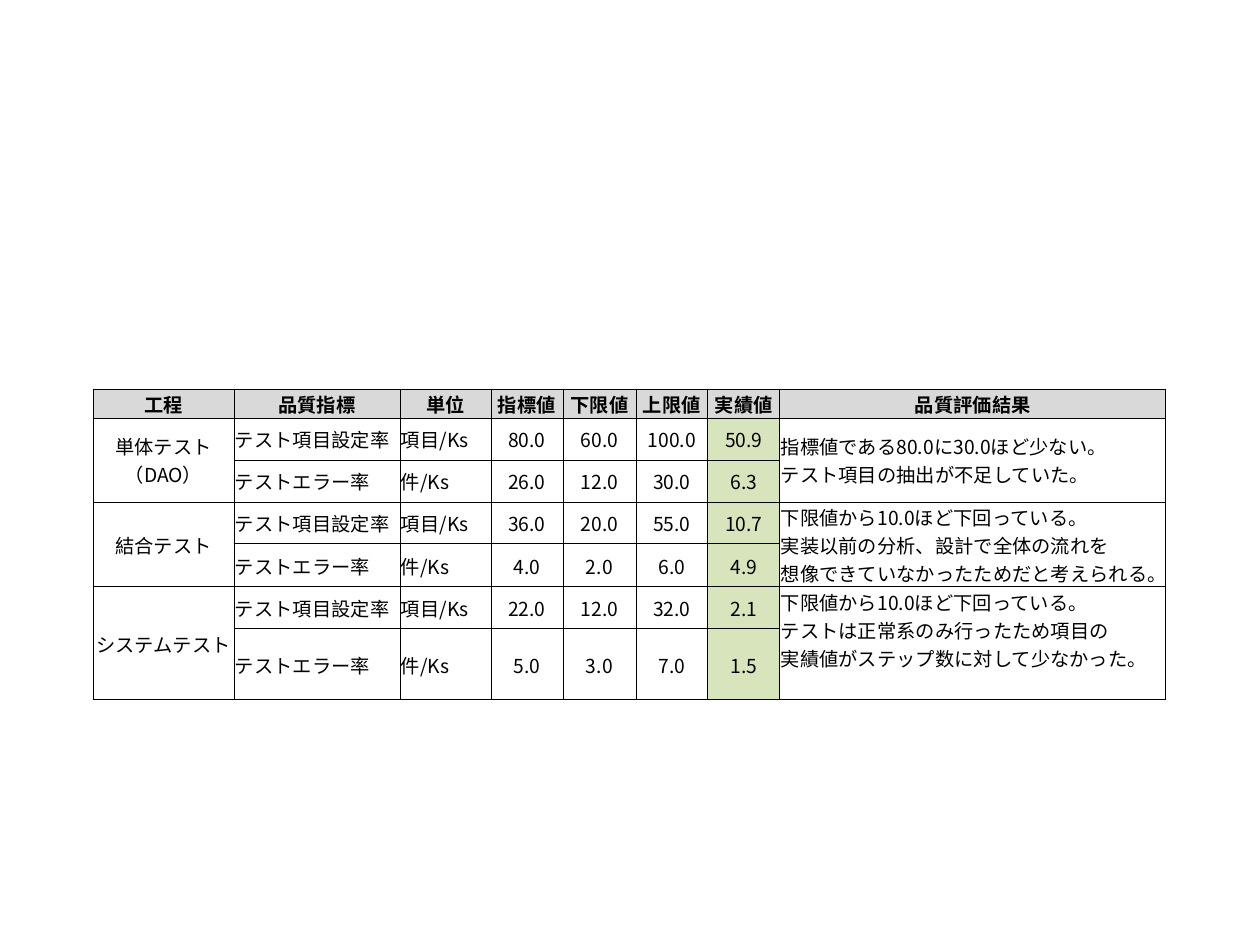
from lxml.etree import SubElement
from pptx import Presentation
from pptx.dml.color import RGBColor
from pptx.enum.text import MSO_ANCHOR as Anchor, PP_ALIGN as Align
from pptx.oxml import parse_xml
from pptx.oxml.ns import nsdecls, qn
from pptx.util import Pt

PX = 914400 // 126
FONT = "Noto Sans CJK JP"
COLORS = {"text": "000000", "border": "000000", "header": "D9D9D9", "actual": "D8E4BC"}

HEADERS = ["工程", "品質指標", "単位", "指標値", "下限値", "上限値", "実績値", "品質評価結果"]
METRICS = [("テスト項目設定率", "項目/Ks"), ("テストエラー率", "件/Ks")]
# process, values of each metric, evaluation, anchor of the evaluation
PROCESSES = [
    ("単体テスト\n（DAO）",
     [("80.0", "60.0", "100.0", "50.9"), ("26.0", "12.0", "30.0", "6.3")],
     "指標値である80.0に30.0ほど少ない。\nテスト項目の抽出が不足していた。", Anchor.MIDDLE),
    ("結合テスト",
     [("36.0", "20.0", "55.0", "10.7"), ("4.0", "2.0", "6.0", "4.9")],
     "下限値から10.0ほど下回っている。\n実装以前の分析、設計で全体の流れを\n"
     "想像できていなかったためだと考えられる。", Anchor.MIDDLE),
    ("システムテスト",
     [("22.0", "12.0", "32.0", "2.1"), ("5.0", "3.0", "7.0", "1.5")],
     "下限値から10.0ほど下回っている。\nテストは正常系のみ行ったため項目の\n"
     "実績値がステップ数に対して少なかった。", Anchor.TOP),
]
LEFT, TOP = 93, 389
WIDTHS = [141, 166, 91, 72, 73, 72, 72, 386]
HEIGHTS = [29, 42, 42, 42, 43, 42, 71]
LEFT_ALIGNED = {1, 2, 7}
ACTUAL, EVALUATION = 6, 7


def add_borders(cell):
    properties = cell._tc.get_or_add_tcPr()
    for index, side in enumerate("LRTB"):
        properties.insert(index, parse_xml(
            f'<a:ln{side} {nsdecls("a")} w="{Pt(0.5)}"><a:solidFill>'
            f'<a:srgbClr val="{COLORS["border"]}"/></a:solidFill></a:ln{side}>'))


def style_cell(cell, fill):
    cell.margin_left = cell.margin_right = cell.margin_top = PX
    cell.margin_bottom = 0
    cell.vertical_anchor = Anchor.MIDDLE
    if fill:
        cell.fill.solid()
        cell.fill.fore_color.rgb = RGBColor.from_string(COLORS[fill])
    else:
        cell.fill.background()
    add_borders(cell)


def write(cell, text, align, bold):
    para = cell.text_frame.paragraphs[0]
    para.text = text
    para.alignment = align
    font = para.font
    font.name, font.size, font.bold = FONT, Pt(11), bold
    font.color.rgb = RGBColor.from_string(COLORS["text"])
    SubElement(font._element, qn("a:ea"), typeface=FONT)


rows = [HEADERS]
for process, values, evaluation, _ in PROCESSES:
    for index, (metric, numbers) in enumerate(zip(METRICS, values)):
        first = index == 0
        rows.append([process if first else "", *metric, *numbers, evaluation if first else ""])

deck = Presentation()
deck.slide_width, deck.slide_height = 1260 * PX, 945 * PX
page = deck.slides.add_slide(deck.slide_layouts[6])
table = page.shapes.add_table(
    len(rows), len(HEADERS), LEFT * PX, TOP * PX, sum(WIDTHS) * PX, sum(HEIGHTS) * PX).table
table.first_row = table.horz_banding = False
for column, width in zip(table.columns, WIDTHS):
    column.width = width * PX
for row, height in zip(table.rows, HEIGHTS):
    row.height = height * PX

for r, texts in enumerate(rows):
    header = r == 0
    for c, text in enumerate(texts):
        cell = table.cell(r, c)
        style_cell(cell, "header" if header else "actual" if c == ACTUAL else None)
        left = c in LEFT_ALIGNED and not header
        write(cell, text, Align.LEFT if left else Align.CENTER, header)

for index, (*_, anchor) in enumerate(PROCESSES):
    top = 1 + index * len(METRICS)
    for c in (0, EVALUATION):
        table.cell(top, c).merge(table.cell(top + len(METRICS) - 1, c))
    table.cell(top, EVALUATION).vertical_anchor = anchor

deck.save("out.pptx")
